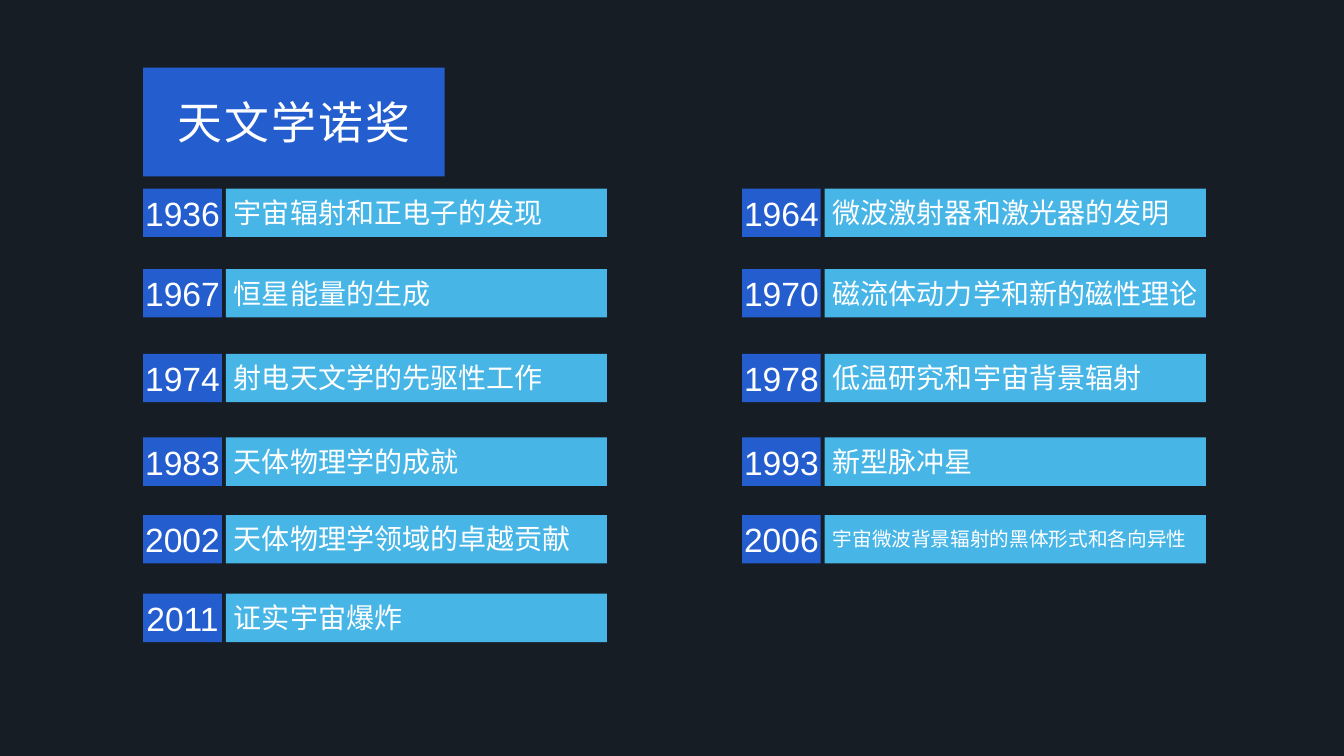
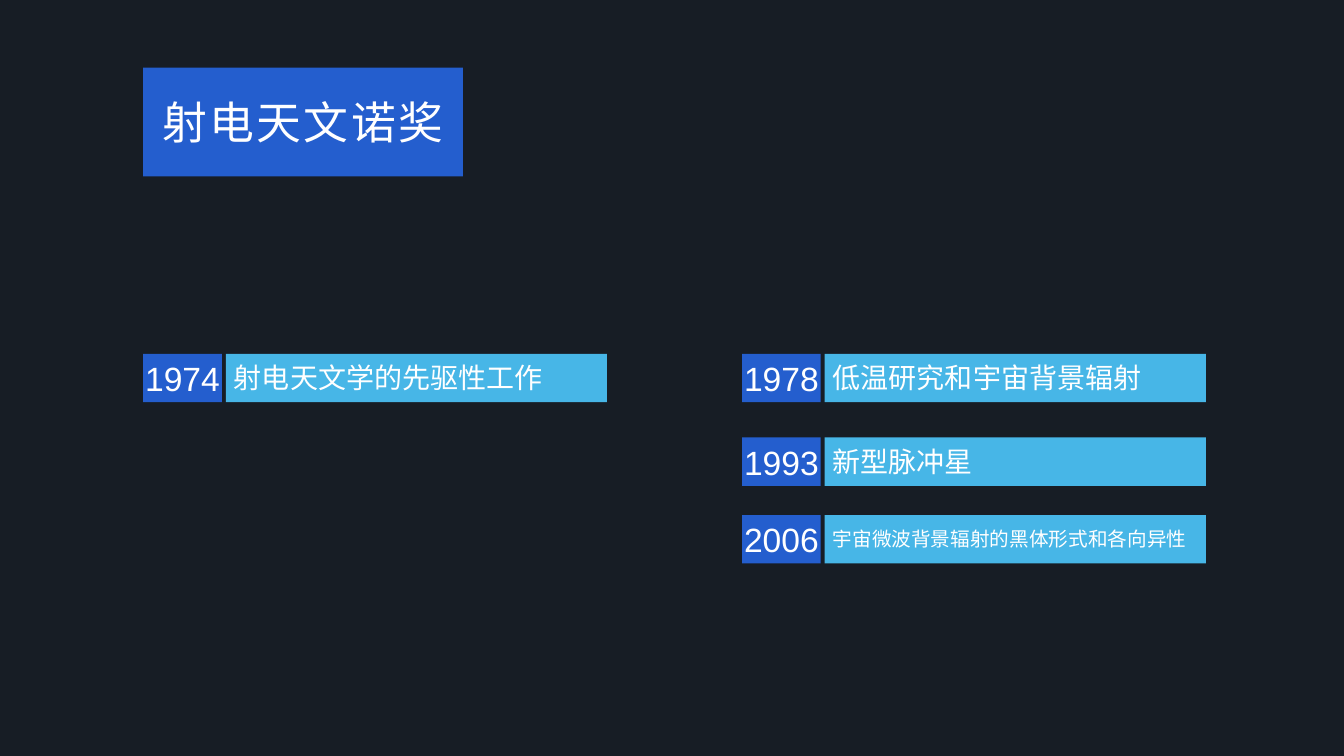
"""Build two slides listing Nobel prizes in astronomy and in radio astronomy."""
import pptx
import pptx.dml.color
import pptx.enum.shapes
import pptx.enum.text
import pptx.util

Inches = pptx.util.Inches
ALIGN = pptx.enum.text.PP_ALIGN
COLORS = {"background": "171D25", "accent": "245ECE", "bar": "47B6E7", "text": "FFFFFF"}
FONT = "Arial"

COLUMN_LEFTS = [1.42, 7.36]
ROW_TOPS = [1.87, 2.67, 3.51, 4.34, 5.11, 5.89]
ROW_HEIGHT = 0.48
YEAR_WIDTH = 0.78
BAR_OFFSET = 0.82
BAR_WIDTH = 3.78

PRIZES = [
    ("1936", "宇宙辐射和正电子的发现"),
    ("1964", "微波激射器和激光器的发明"),
    ("1967", "恒星能量的生成"),
    ("1970", "磁流体动力学和新的磁性理论"),
    ("1974", "射电天文学的先驱性工作"),
    ("1978", "低温研究和宇宙背景辐射"),
    ("1983", "天体物理学的成就"),
    ("1993", "新型脉冲星"),
    ("2002", "天体物理学领域的卓越贡献"),
    ("2006", "宇宙微波背景辐射的黑体形式和各向异性"),
    ("2011", "证实宇宙爆炸"),
]
SMALL_TEXT_YEARS = {"2006"}
ALL_YEARS = {year for year, _ in PRIZES}
RADIO_YEARS = {"1974", "1978", "1993", "2006"}
SLIDES = [("天文学诺奖", 2.99, ALL_YEARS), ("射电天文诺奖", 3.17, RADIO_YEARS)]


def write_block(block, text, *, fill, size, align=ALIGN.CENTER, margins=None, spacing=None):
    block.fill.solid()
    block.fill.fore_color.rgb = pptx.dml.color.RGBColor.from_string(COLORS[fill])
    block.line.fill.background()
    frame = block.text_frame
    frame.word_wrap = True
    frame.auto_size = pptx.enum.text.MSO_AUTO_SIZE.NONE
    frame.vertical_anchor = pptx.enum.text.MSO_ANCHOR.MIDDLE
    if margins:
        frame.margin_left, frame.margin_top, frame.margin_right, frame.margin_bottom = map(Inches, margins)
    paragraph = frame.paragraphs[0]
    paragraph.alignment = align
    run = paragraph.add_run()
    run.text = text
    run.font.name = FONT
    run.font.size = pptx.util.Pt(size)
    run.font.color.rgb = pptx.dml.color.RGBColor.from_string(COLORS["text"])
    if spacing:
        run.font._element.set("spc", str(spacing))


def add_block(shapes, left, top, width, text, **style):
    block = shapes.add_shape(
        pptx.enum.shapes.MSO_SHAPE.RECTANGLE,
        Inches(left), Inches(top), Inches(width), Inches(ROW_HEIGHT),
    )
    block.shadow.inherit = False
    write_block(block, text, **style)


deck = pptx.Presentation()
deck.slide_width = Inches(13.33)
deck.slide_height = Inches(7.5)
backdrop = deck.slide_master.background.fill
backdrop.solid()
backdrop.fore_color.rgb = pptx.dml.color.RGBColor.from_string(COLORS["background"])
title_only = deck.slide_layouts.get_by_name("Title Only")

for heading, heading_width, years in SLIDES:
    slide = deck.slides.add_slide(title_only)
    title = slide.shapes.title
    title.left, title.top = Inches(COLUMN_LEFTS[0]), Inches(0.67)
    title.width, title.height = Inches(heading_width), Inches(1.08)
    write_block(title, heading, fill="accent", size=32, spacing=160)

    for index, (year, achievement) in enumerate(PRIZES):
        if year not in years:
            continue
        row, column = divmod(index, len(COLUMN_LEFTS))
        left, top = COLUMN_LEFTS[column], ROW_TOPS[row]
        prize = slide.shapes.add_group_shape()
        add_block(prize.shapes, left, top, YEAR_WIDTH, year,
                  fill="accent", size=24, margins=(0, 0, 0, 0))
        add_block(prize.shapes, left + BAR_OFFSET, top, BAR_WIDTH, achievement,
                  fill="bar", size=14 if year in SMALL_TEXT_YEARS else 20,
                  align=ALIGN.LEFT, margins=(0.08, 0, 0, 0.01))

deck.save("out.pptx")
